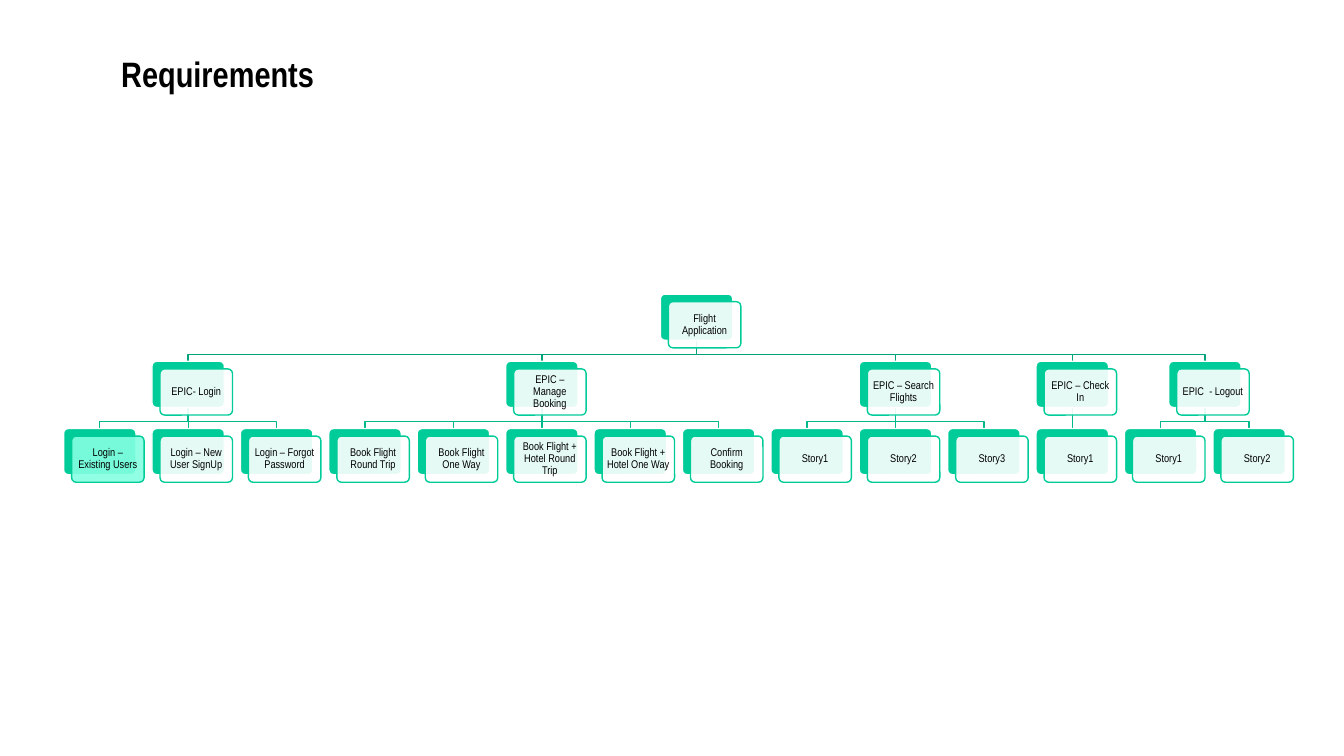
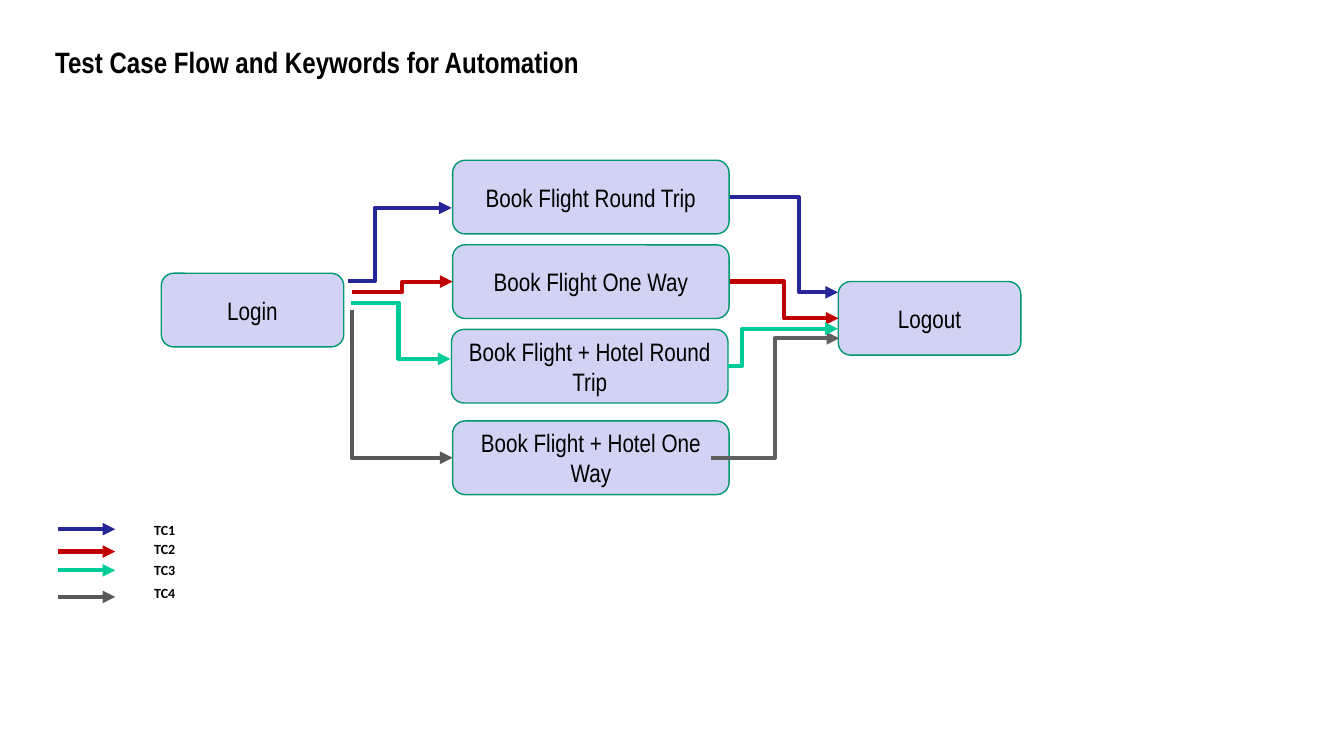
from dataclasses import dataclass
from typing import Any

from lxml import etree
from pptx import Presentation
from pptx import util as u
from pptx.dml.color import RGBColor
from pptx.enum import shapes, text
from pptx.oxml import parse_xml
from pptx.oxml.ns import nsdecls, qn

Pt = u.Pt
Point = tuple[float, float]

NARROW = "Arial Narrow"
BLACK, WHITE = "000000", "FFFFFF"
TEAL, MINT, LAVENDER, EDGE = "00CC99", "85FFE0", "D2D2F4", "009771"
NAVY, RED, GREY, SLATE = "262699", "C00000", "595959", "606060"
EPIC_LINE, STORY_LINE = "00A37B", "00B98B"
BAND_STOPS = ((0, MINT), (25, "C2FFF0"), (84, WHITE))

CARD_W, CARD_H = 51.8, 33
CARD_SHIFT_X, CARD_SHIFT_Y = 5.75, 5.4
TREE_LEFT, TREE_TOP = 45.4, 210.1
COLUMN_PITCH, ROW_PITCH = 63.15, 48
BAR_GAP = 4.8
NODE_H = 52.6


@dataclass(frozen=True)
class Epic:
    label: str
    stories: tuple[str, ...]


@dataclass(frozen=True)
class Step:
    label: str
    left: float
    top: float
    width: float


@dataclass(frozen=True)
class Route:
    start: Point
    end: Point
    bend: float
    color: str


@dataclass(frozen=True)
class TestCase:
    label: str
    color: str
    key_y: float
    label_top: float


EPICS = (
    Epic("EPIC- Login", ("Login – Existing Users", "Login – New User SignUp",
                         "Login – Forgot Password")),
    Epic("EPIC – Manage Booking", ("Book Flight Round Trip", "Book Flight One Way",
                                   "Book Flight + Hotel Round Trip",
                                   "Book Flight + Hotel One Way", "Confirm Booking")),
    Epic("EPIC – Search Flights", ("Story1", "Story2", "Story3")),
    Epic("EPIC – Check In", ("Story1",)),
    Epic("EPIC  - Logout", ("Story1", "Story2")),
)
HIGHLIGHTED_STORY = "Login – Existing Users"

STEPS = (
    Step("Login", 115.2, 195.2, 130.4),
    Step("Book Flight Round Trip", 323.3, 114.5, 197.5),
    Step("Book Flight One Way", 323.3, 174.9, 197.5),
    Step("Book Flight + Hotel Round Trip", 322.5, 235.3, 197.5),
    Step("Book Flight + Hotel One Way", 323.3, 300.7, 197.5),
    Step("Logout", 598.8, 201.1, 130.4),
)

ROUTES = (
    Route((507.6, 327), (599.5, 241.7), 0.5, SLATE),
    Route((521.2, 201.1), (598.9, 227.4), 0.5, RED),
    Route((521.2, 140.9), (598.6, 208.8), 0.64, NAVY),
    Route((520, 261.5), (598.5, 234.9), 0.13, TEAL),
    Route((251.3, 221.6), (323.3, 327), 0, GREY),
    Route((251.3, 208.7), (323.3, 201.2), 0.5, RED),
    Route((248.5, 201), (322.6, 148.5), 0.26, NAVY),
    Route((250.5, 216.4), (321.8, 256.4), 0.48, TEAL),
)

TEST_CASES = (
    TestCase("TC1", NAVY, 378, 368.9),
    TestCase("TC2", RED, 394, 382.5),
    TestCase("TC3", TEAL, 407.4, 397.5),
    TestCase("TC4", GREY, 426.4, 414),
)


def rgb(color: str) -> RGBColor:
    return RGBColor.from_string(color)


def write(shape: Any, content: str, *, size: float, font: str = NARROW,
          bold: bool = False, spacing: float = 1.0,
          insets: Point = (7.2, 3.6)) -> None:
    frame = shape.text_frame
    frame.word_wrap = True
    frame.vertical_anchor = text.MSO_ANCHOR.MIDDLE
    frame.margin_left = frame.margin_right = Pt(insets[0])
    frame.margin_top = frame.margin_bottom = Pt(insets[1])
    paragraph = frame.paragraphs[0]
    paragraph.alignment = text.PP_ALIGN.CENTER
    paragraph.line_spacing = spacing
    run = paragraph.add_run()
    run.text = content
    run.font.size = Pt(size)
    run.font.name = font
    run.font.bold = bold
    run.font.color.rgb = rgb(BLACK)


def add_box(slide: Any, left: float, top: float, width: float, height: float, *,
            fill: str, line: str, line_width: float = 1,
            corner: float | None = None, opacity: int = 100) -> Any:
    kind = shapes.MSO_SHAPE.RECTANGLE if corner is None else shapes.MSO_SHAPE.ROUNDED_RECTANGLE
    box = slide.shapes.add_shape(kind, Pt(left), Pt(top), Pt(width), Pt(height))
    if corner is not None:
        box.adjustments[0] = corner
    box.shadow.inherit = False
    box.fill.solid()
    box.fill.fore_color.rgb = rgb(fill)
    if opacity < 100:
        tint = box.fill._xPr.find(qn("a:solidFill"))[0]
        etree.SubElement(tint, qn("a:alpha")).set("val", str(opacity * 1000))
    box.line.color.rgb = rgb(line)
    box.line.width = Pt(line_width)
    return box


def add_line(slide: Any, start: Point, end: Point, color: str, width: float, *,
             bend: float | None = None, arrow: bool = False) -> Any:
    kind = shapes.MSO_CONNECTOR.STRAIGHT if bend is None else shapes.MSO_CONNECTOR.ELBOW
    line = slide.shapes.add_connector(kind, *(Pt(value) for value in start + end))
    line.line.color.rgb = rgb(color)
    line.line.width = Pt(width)
    properties = line._element.spPr
    if bend is not None:
        guides = properties.find(qn("a:prstGeom")).get_or_add_avLst()
        guide = etree.SubElement(guides, qn("a:gd"))
        guide.set("name", "adj1")
        guide.set("fmla", f"val {round(bend * 100000)}")
    if arrow:
        head = etree.SubElement(line.line._get_or_add_ln(), qn("a:tailEnd"))
        head.set("type", "triangle")
    etree.SubElement(properties, qn("a:effectLst"))
    return line


def add_title(slide: Any, content: str, left: float, top: float,
              width: float, size: float) -> None:
    title = slide.shapes.add_textbox(Pt(left), Pt(top), Pt(width), Pt(31.7))
    write(title, content, size=size, bold=True)


def add_band(slide: Any, layout: Any) -> None:
    band = add_box(slide, 0, 0, 960, 91.4, fill=WHITE, line=WHITE)
    band.line.fill.background()
    stops = "".join(
        f'<a:gs pos="{position * 1000}"><a:srgbClr val="{color}">'
        f'<a:alpha val="50000"/></a:srgbClr></a:gs>'
        for position, color in BAND_STOPS)
    gradient = parse_xml(
        f'<a:gradFill {nsdecls("a")} rotWithShape="1"><a:gsLst>{stops}</a:gsLst>'
        f'<a:lin ang="5400000" scaled="0"/></a:gradFill>')
    properties = band._element.spPr
    properties.replace(properties.find(qn("a:solidFill")), gradient)
    layout.shapes._spTree.append(band._element)


def add_card(slide: Any, label: str, column: float, row: int) -> Any:
    left = TREE_LEFT + column * COLUMN_PITCH
    top = TREE_TOP + row * ROW_PITCH
    back = add_box(slide, left, top, CARD_W, CARD_H, fill=TEAL, line=WHITE, corner=0.1)
    front = add_box(slide, left + CARD_SHIFT_X, top + CARD_SHIFT_Y, CARD_W, CARD_H,
                    fill=MINT if label == HIGHLIGHTED_STORY else WHITE,
                    line=TEAL, corner=0.1, opacity=90)
    write(front, label, size=8, spacing=0.9, insets=(2.2, 2.2))
    return back


def add_branch(slide: Any, parent: Any, child: Any, color: str) -> None:
    parent_x = parent.left + parent.width // 2
    child_x = child.left + child.width // 2
    parent_bottom = parent.top + parent.height
    if abs(parent_x - child_x) < Pt(1):
        branch = add_line(slide, (0, 0), (0, 0), color, 1)
        branch.begin_connect(parent, 2)
        branch.end_connect(child, 0)
    else:
        bar_y = child.top - Pt(BAR_GAP)
        outline = slide.shapes.build_freeform(parent_x, parent_bottom, scale=1.0)
        outline.add_line_segments(
            [(parent_x, bar_y), (child_x, bar_y), (child_x, child.top)], close=False)
        branch = outline.convert_to_shape()
        branch.fill.background()
        branch.line.color.rgb = rgb(color)
        branch.line.width = Pt(1)
        branch.shadow.inherit = False
    slide.shapes._spTree.insert(2, branch._element)


def draw_requirements(slide: Any) -> None:
    epic_columns = []
    first_column = 0
    for epic in EPICS:
        epic_columns.append(first_column + (len(epic.stories) - 1) / 2)
        first_column += len(epic.stories)
    application = add_card(slide, "Flight Application",
                           (epic_columns[0] + epic_columns[-1]) / 2, 0)
    first_column = 0
    for epic, epic_column in zip(EPICS, epic_columns):
        epic_card = add_card(slide, epic.label, epic_column, 1)
        add_branch(slide, application, epic_card, EPIC_LINE)
        for column, story in enumerate(epic.stories, first_column):
            add_branch(slide, epic_card, add_card(slide, story, column, 2), STORY_LINE)
        first_column += len(epic.stories)
    add_title(slide, "Requirements", 14.4, 36.9, 282.2, 25.2)


def draw_test_flow(slide: Any) -> None:
    for step in STEPS:
        node = add_box(slide, step.left, step.top, step.width, NODE_H,
                       fill=LAVENDER, line=EDGE, corner=0.17)
        write(node, step.label, size=18)
    for route in ROUTES:
        add_line(slide, route.start, route.end, route.color, 3,
                 bend=route.bend, arrow=True)
    add_title(slide, "Test Case Flow and Keywords for Automation", 16.2, 28.2, 420.5, 21)
    for case in TEST_CASES:
        add_line(slide, (41.5, case.key_y), (82.3, case.key_y), case.color, 3, arrow=True)
    for case in TEST_CASES:
        label = add_box(slide, 82.8, case.label_top, 69.8, 19.4,
                        fill=WHITE, line=WHITE, line_width=0.75)
        write(label, case.label, size=10, font="Calibri", bold=True)


def main() -> None:
    deck = Presentation()
    deck.slide_width, deck.slide_height = Pt(960), Pt(540)
    blank = deck.slide_layouts[6]
    requirements = deck.slides.add_slide(blank)
    add_band(requirements, blank)
    draw_requirements(requirements)
    draw_test_flow(deck.slides.add_slide(blank))
    deck.save("out.pptx")


if __name__ == "__main__":
    main()
